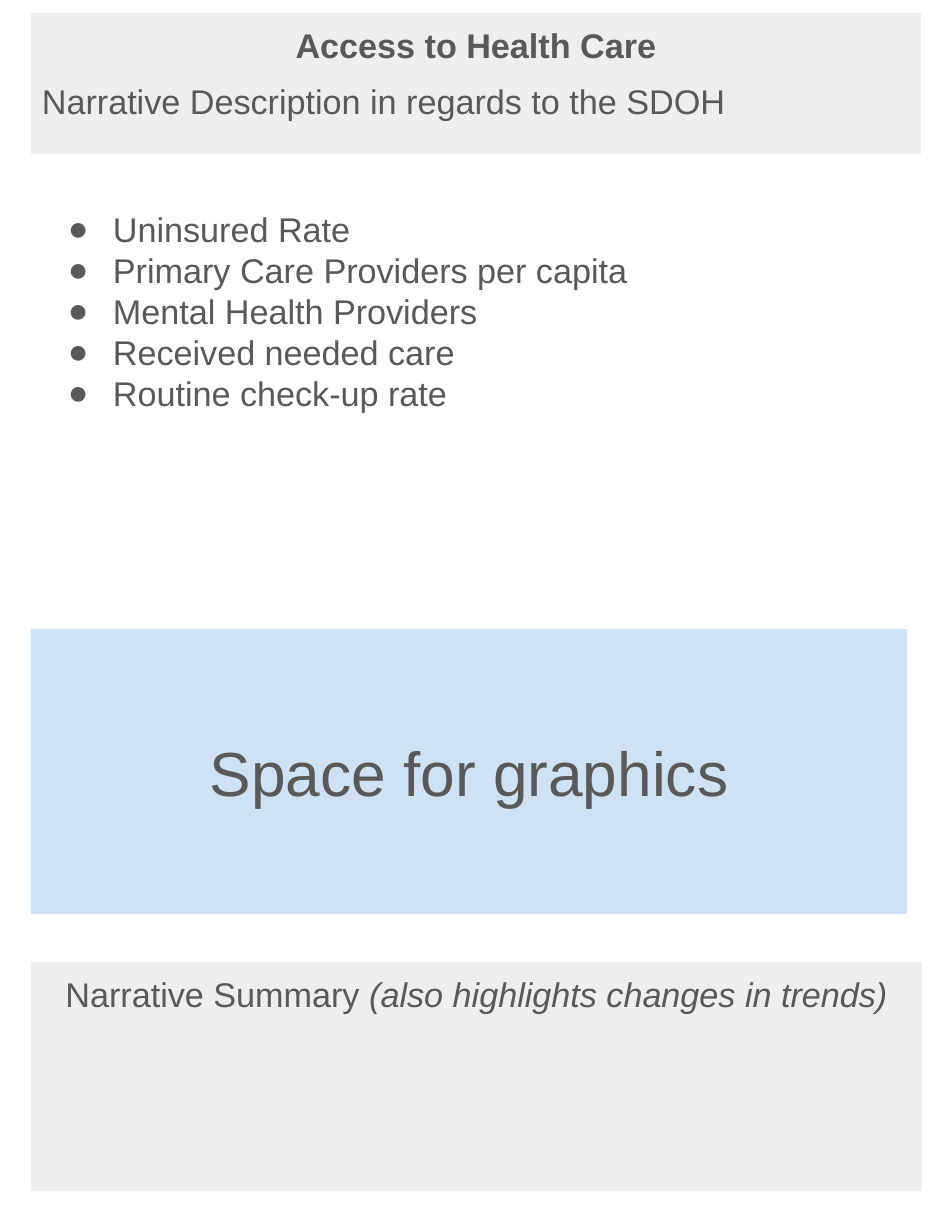
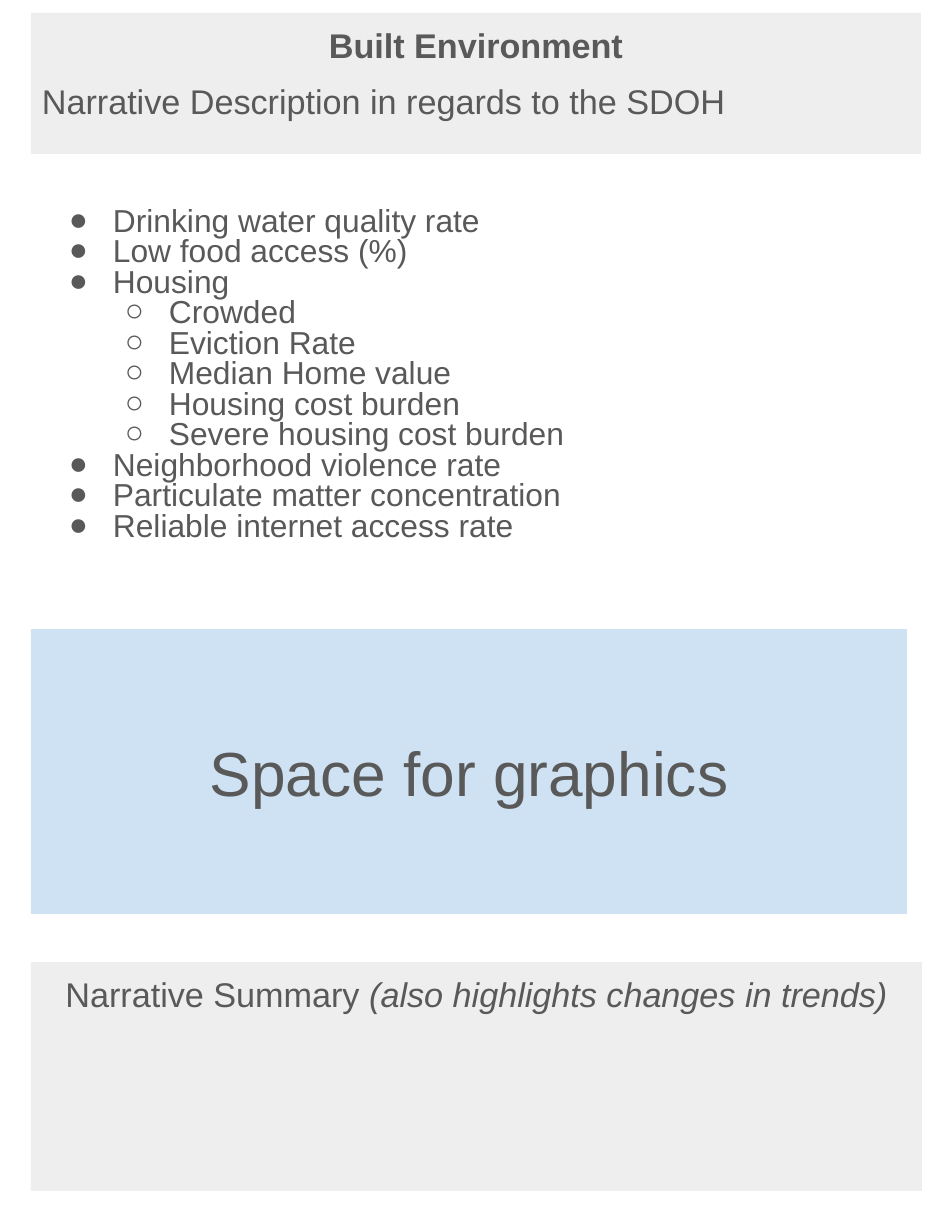
import pptx
import pptx.util
import pptx.dml.color
import pptx.enum.shapes
import pptx.enum.text
import lxml.etree

PX = 914400 / 112  # EMU per px, 112 px to the inch
COLORS = {"text": "595959", "band": "EEEEEE", "graphics": "CFE2F3"}
FONT = "Arial"
INSET = 11
BULLETS = "●○"
ALIGN = pptx.enum.text.PP_ALIGN


def px(length):
    return pptx.util.Emu(round(length * PX))


def add_text(frame, text, size=22, bold=False, italic=False, align=ALIGN.LEFT,
             space=0, line=1.0, level=None, hang=0, same_line=False):
    """Write text into the frame, as a new paragraph unless same_line."""
    paragraph = frame.paragraphs[-1]
    if paragraph.runs and not same_line:
        paragraph = frame.add_paragraph()
    if not same_line:
        paragraph.alignment = align
        paragraph.line_spacing = line
        paragraph.space_before = paragraph.space_after = pptx.util.Pt(space)
    if level is not None:
        paragraph.level = level
        props = paragraph._p.get_or_add_pPr()
        props.set("marL", str(px(56 * (level + 1))))
        props.set("indent", str(-px(hang)))
        ns = "{http://schemas.openxmlformats.org/drawingml/2006/main}"
        color = lxml.etree.SubElement(props, ns + "buClr")
        lxml.etree.SubElement(color, ns + "srgbClr", val=COLORS["text"])
        lxml.etree.SubElement(props, ns + "buSzPct", val="100000")
        lxml.etree.SubElement(props, ns + "buFont", typeface=FONT)
        lxml.etree.SubElement(props, ns + "buChar", char=BULLETS[level])
    run = paragraph.add_run()
    run.text = text
    run.font.name = FONT
    run.font.size = pptx.util.Pt(size)
    run.font.bold = bold
    run.font.italic = italic
    run.font.color.rgb = pptx.dml.color.RGBColor.from_string(COLORS["text"])


# Shared panels: left, top, width, height, fill
PANELS = {
    "summary": (31, 962, 891, 229, "band"),
    "header": (31, 13, 890, 141, "band"),
    "graphics": (31, 629, 876, 285, "graphics"),
    "measures": (46, 197, 876, 390, None),
}

# Each page: title, measures with their level, and the list's format
PAGES = [
    ("Access to Health Care",
     [("Uninsured Rate", 0),
      ("Primary Care Providers per capita", 0),
      ("Mental Health Providers", 0),
      ("Received needed care", 0),
      ("Routine check-up rate", 0)],
     {"size": 22, "hang": 45}),
    ("Built Environment",
     [("Drinking water quality rate", 0),
      ("Low food access (%)", 0),
      ("Housing", 0),
      ("Crowded", 1),
      ("Eviction Rate", 1),
      ("Median Home value", 1),
      ("Housing cost burden", 1),
      ("Severe housing cost burden", 1),
      ("Neighborhood violence rate", 0),
      ("Particulate matter concentration", 0),
      ("Reliable internet access rate", 0)],
     {"size": 20.4, "hang": 44, "line": 0.8}),
]

deck = pptx.Presentation()
deck.slide_width, deck.slide_height = px(952), px(1232)

for title, measures, list_format in PAGES:
    slide = deck.slides.add_slide(deck.slide_layouts[6])

    # Panels
    frames = {}
    for part, (*box, fill) in PANELS.items():
        box = [px(length) for length in box]
        if fill:
            panel = slide.shapes.add_shape(
                pptx.enum.shapes.MSO_SHAPE.RECTANGLE, *box)
            panel.shadow.inherit = False
            panel.fill.solid()
            panel.fill.fore_color.rgb = pptx.dml.color.RGBColor.from_string(COLORS[fill])
            panel.line.fill.background()
        else:
            panel = slide.shapes.add_textbox(*box)
        frame = frames[part] = panel.text_frame
        frame.word_wrap = True
        frame.vertical_anchor = pptx.enum.text.MSO_ANCHOR.TOP
        frame.margin_left = frame.margin_right = px(INSET)
        frame.margin_top = frame.margin_bottom = px(INSET)

    # Header
    add_text(frames["header"], title, bold=True, align=ALIGN.CENTER)
    add_text(frames["header"], "Narrative Description in regards to the SDOH", space=10)

    # Measures
    for measure, level in measures:
        add_text(frames["measures"], measure, level=level, **list_format)

    # Graphics area
    frames["graphics"].vertical_anchor = pptx.enum.text.MSO_ANCHOR.MIDDLE
    add_text(frames["graphics"], "Space for graphics", size=40, align=ALIGN.CENTER)

    # Summary
    add_text(frames["summary"], "Narrative Summary ", align=ALIGN.CENTER)
    add_text(frames["summary"], "(also highlights changes in trends)",
             italic=True, same_line=True)

deck.save("out.pptx")
